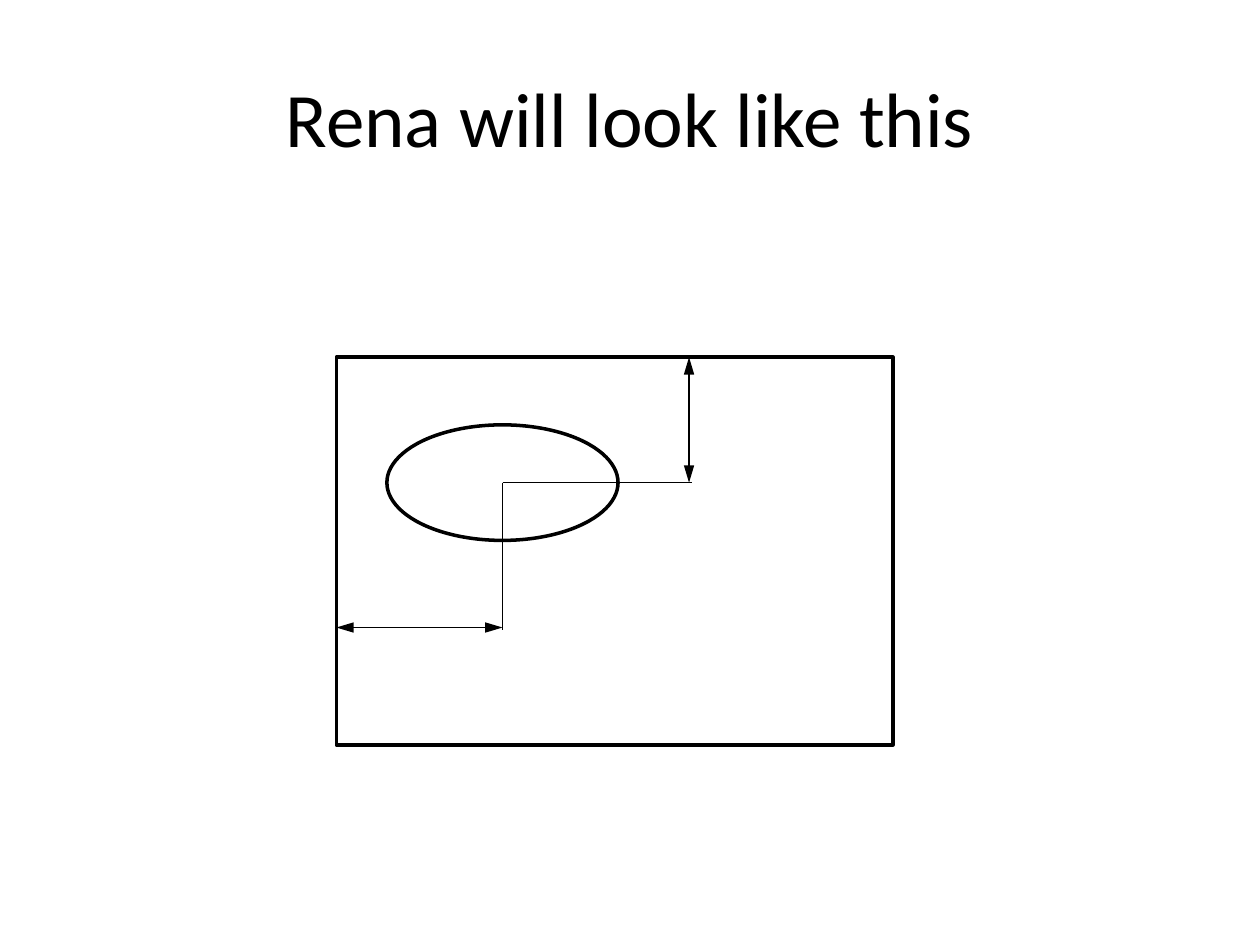
from lxml import etree
from pptx import Presentation
from pptx.dml.color import RGBColor
from pptx.enum.shapes import MSO_CONNECTOR, MSO_SHAPE
from pptx.enum.text import MSO_ANCHOR, PP_ALIGN
from pptx.oxml.ns import qn
from pptx.util import Cm, Pt

STRAIGHT = MSO_CONNECTOR.STRAIGHT
RECTANGLE = MSO_SHAPE.RECTANGLE
OVAL = MSO_SHAPE.OVAL
MIDDLE = MSO_ANCHOR.MIDDLE
CENTER = PP_ALIGN.CENTER
BLACK = "000000"


def color(value):
    """Return the colour for a hex string."""
    return RGBColor.from_string(value)


def add_outline(slide, kind, left, top, width, height):
    """Add an unfilled preset shape with a thick outline."""
    shape = slide.shapes.add_shape(kind, Cm(left), Cm(top), Cm(width), Cm(height))
    shape.shadow.inherit = False
    shape.fill.background()
    shape.line.color.rgb = color(BLACK)
    shape.line.width = Pt(2)


def add_line(slide, start_x, start_y, end_x, end_y, arrows=False):
    """Add a thin line, with arrowheads at both ends if asked."""
    connector = slide.shapes.add_connector(
        STRAIGHT, Cm(start_x), Cm(start_y), Cm(end_x), Cm(end_y))
    connector.line.color.rgb = color(BLACK)
    connector.line.width = Pt(0.75)
    properties = connector._element.spPr
    if arrows:
        outline = properties.find(qn("a:ln"))
        for end in ("a:headEnd", "a:tailEnd"):
            etree.SubElement(outline, qn(end), type="triangle", w="med", len="lg")
    etree.SubElement(properties, qn("a:effectLst"))


def add_title(slide, text, left, top, width, height):
    """Add the centred slide title."""
    box = slide.shapes.add_textbox(Cm(left), Cm(top), Cm(width), Cm(height))
    frame = box.text_frame
    frame.word_wrap = True
    frame.vertical_anchor = MIDDLE
    paragraph = frame.paragraphs[0]
    paragraph.alignment = CENTER
    run = paragraph.add_run()
    run.text = text
    run.font.name = "Calibri"
    run.font.size = Pt(44)
    run.font.color.rgb = color(BLACK)


def main():
    """Build the slide with an ellipse dimensioned inside a frame."""
    presentation = Presentation()
    presentation.slide_width = Cm(25.4)
    presentation.slide_height = Cm(19.05)
    slide = presentation.slides.add_slide(presentation.slide_layouts[6])

    frame_left, frame_top = 6.78, 7.2
    center_x, center_y = 10.13, 9.73
    ellipse_width, ellipse_height = 4.66, 2.33
    across_y, down_x = 12.65, 13.89
    overhang = 0.06

    add_outline(slide, OVAL, center_x - ellipse_width / 2,
                center_y - ellipse_height / 2, ellipse_width, ellipse_height)
    add_line(slide, center_x, center_y, center_x, across_y + overhang)
    add_line(slide, frame_left, frame_top, frame_left, 14.82)
    add_line(slide, frame_left, across_y, center_x, across_y, arrows=True)
    add_outline(slide, RECTANGLE, frame_left, frame_top, 11.22, 7.82)
    add_line(slide, center_x, center_y, down_x + overhang, center_y)
    add_line(slide, down_x, frame_top, down_x, center_y, arrows=True)
    add_title(slide, "Rena will look like this", 1.27, 0.76, 22.86, 3.18)

    presentation.save("out.pptx")


main()
